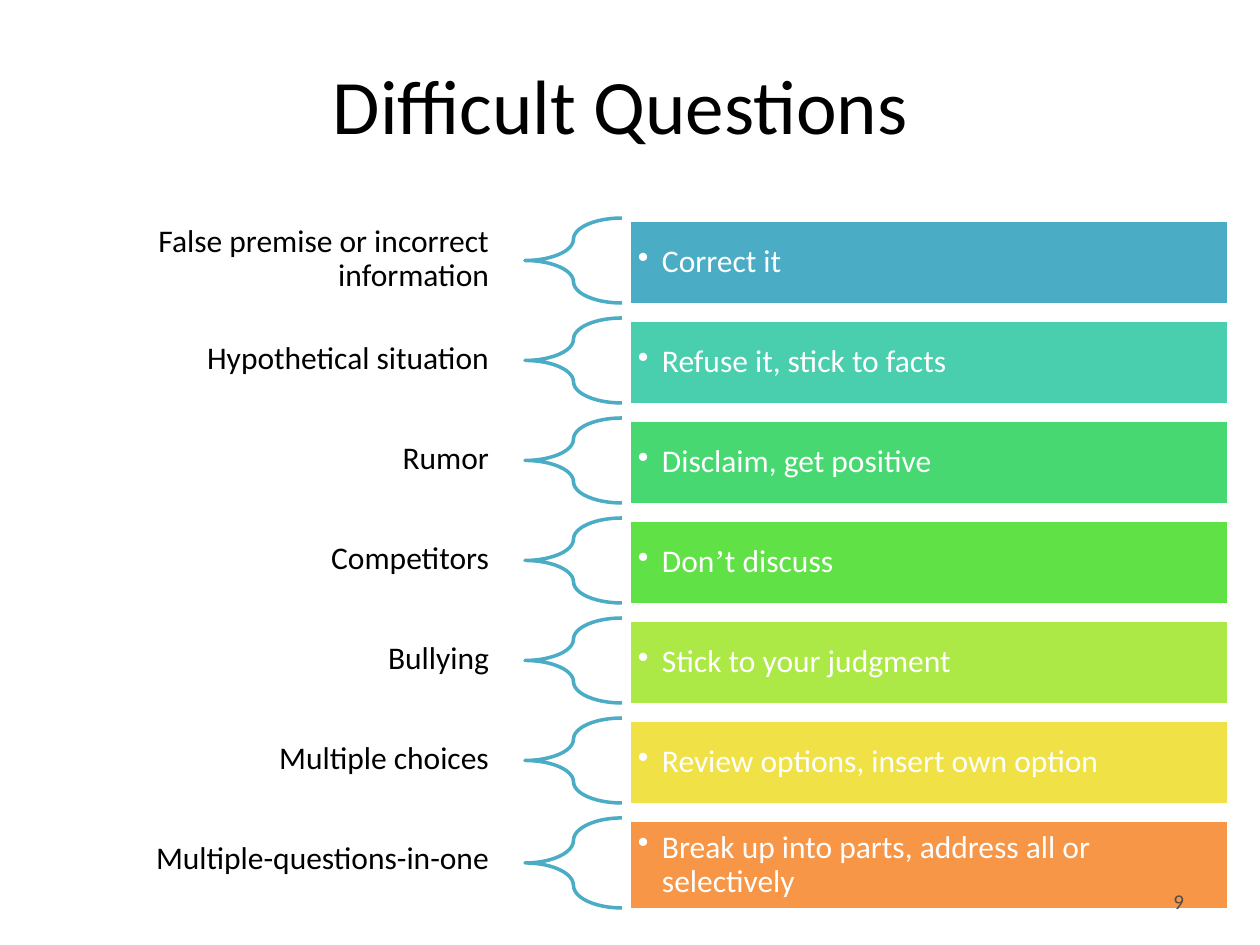
from lxml.etree import SubElement
from pptx import Presentation
from pptx.dml.color import RGBColor
from pptx.enum.shapes import MSO_SHAPE as Shape
from pptx.enum.text import MSO_ANCHOR as Anchor, PP_ALIGN as Align
from pptx.oxml.ns import qn
from pptx.util import Emu, Pt

EMU_PER_PX = 914400 / 126
ACCENT = "4BACC6"
ROW_PITCH = 100
ROW_HEIGHT = 85
LAST_HEIGHT = 90
ROWS = [
    ("False premise or incorrect information", ["Correct it"], ACCENT),
    ("Hypothetical situation", ["Refuse it, stick to facts"], "49CFAE"),
    ("Rumor", ["Disclaim, get positive"], "47D872"),
    ("Competitors", ["Don", "’", "t discuss"], "60E146"),
    ("Bullying", ["Stick to your judgment"], "ACE946"),
    ("Multiple choices", ["Review options, insert own option"], "F0E146"),
    ("Multiple-questions-in-one",
     ["Break up into parts, address all or selectively"], "F79646"),
]


def px(length):
    return Emu(round(length * EMU_PER_PX))


def color(value):
    return RGBColor.from_string(value)


def box(left, top, width, height):
    return [px(length) for length in (left, top, width, height)]


def set_frame(frame, horizontal, vertical):
    frame.word_wrap = True
    frame.vertical_anchor = Anchor.MIDDLE
    frame.margin_left = frame.margin_right = px(horizontal)
    frame.margin_top = frame.margin_bottom = px(vertical)


def add_run(paragraph, text, size, value, font="Calibri"):
    run = paragraph.add_run()
    run.text = text
    run.font.name = font
    run.font.size = Pt(size)
    run.font.color.rgb = color(value)


def add_bullet(paragraph, indent):
    properties = paragraph._p.get_or_add_pPr()
    properties.set("marL", str(px(indent)))
    properties.set("indent", str(-px(indent)))
    SubElement(properties, qn("a:buChar"), char="•")


def add_text(slide, place, text, size, value, margins):
    frame = slide.shapes.add_textbox(*place).text_frame
    set_frame(frame, *margins)
    paragraph = frame.paragraphs[0]
    paragraph.alignment = Align.RIGHT
    add_run(paragraph, text, size, value)
    return paragraph


def add_outlined(slide, kind, place, line):
    shape = slide.shapes.add_shape(kind, *place)
    shape.shadow.inherit = False
    shape.line.color.rgb = color(line)
    shape.line.width = Pt(2)
    return shape


def add_title(slide, place, text):
    title = slide.shapes.title
    title.left, title.top, title.width, title.height = place
    title.text_frame.vertical_anchor = Anchor.MIDDLE
    paragraph = title.text_frame.paragraphs[0]
    paragraph.alignment = Align.CENTER
    add_run(paragraph, text, 44, "000000")


def add_row(slide, left, top, height, question, answer, fill):
    label = add_text(slide, box(left, top, 486, ROW_HEIGHT), question, 18,
                     "000000", (18, 6))
    label.line_spacing = 0.9

    brace = add_outlined(slide, Shape.LEFT_BRACE,
                         box(left + 504, top + 1, 97, height), ACCENT)
    brace.fill.background()
    brace.adjustments[0] = 0.35
    brace.adjustments[1] = 0.5

    bar = add_outlined(slide, Shape.RECTANGLE,
                       box(left + 608, top + 3, 600, height), "FFFFFF")
    bar.fill.solid()
    bar.fill.fore_color.rgb = color(fill)
    set_frame(bar.text_frame, 9, 9)
    paragraph = bar.text_frame.paragraphs[0]
    add_bullet(paragraph, 24)
    paragraph.alignment = Align.LEFT
    paragraph.level = 1
    paragraph.line_spacing = 0.9
    for text in answer:
        font = "Times New Roman" if text == "’" else "Calibri"
        add_run(paragraph, text, 18, "FFFFFF", font)


def add_rows(slide, left, top):
    for index, (question, answer, fill) in enumerate(ROWS):
        is_last = index == len(ROWS) - 1
        height = LAST_HEIGHT if is_last else ROW_HEIGHT
        add_row(slide, left, top + index * ROW_PITCH, height,
                question, answer, fill)


def main():
    presentation = Presentation()
    presentation.slide_width = px(1260)
    presentation.slide_height = px(945)
    slide = presentation.slides.add_slide(presentation.slide_layouts[5])
    add_rows(slide, 21, 217)
    add_title(slide, box(25, 42, 1191, 123), "Difficult Questions")
    add_text(slide, box(903, 876, 294, 50), "9", 12, "534949", (13, 6))
    presentation.save("out.pptx")


if __name__ == "__main__":
    main()
